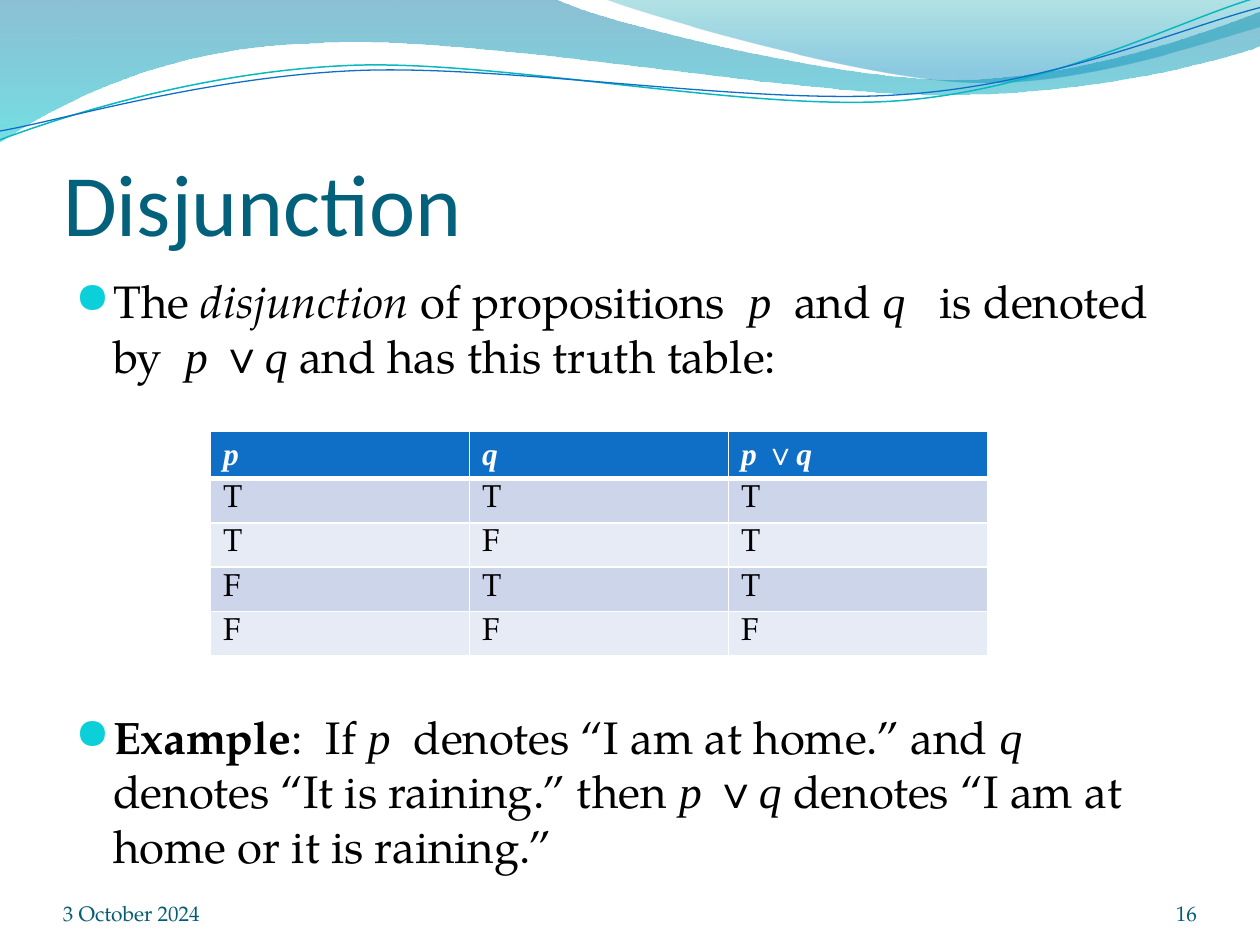
import math

from lxml import etree
from pptx import Presentation
from pptx.dml.color import RGBColor
from pptx.enum import text
from pptx.oxml.ns import qn
from pptx.util import Inches, Pt

THEME = {
    "serif": "TeX Gyre Pagella", "math": "Times New Roman", "heading": "Calibri",
    "symbols": "OpenSymbol",
    "title": "04617B", "ink": "000000", "footer": "045D75", "bullet": "0BD0D9",
    "header": "0F6FC6", "bands": ("CCD5EA", "E7EBF5"), "white": "FFFFFF",
    "title_size": 50, "body_size": 26, "table_size": 18, "footer_size": 12,
}

# Run styles: font, bold, italic
PLAIN = (THEME["serif"], False, False)
STRONG = (THEME["serif"], True, False)
TERM = (THEME["serif"], False, True)
VAR = (THEME["math"], False, True)
SYMBOL = (THEME["math"], False, False)
HEAD_VAR = (THEME["math"], True, True)
HEAD_SYMBOL = (THEME["math"], True, False)

TITLE = "Disjunction"
P_OR_Q = [("p ", VAR), ("∨", SYMBOL), ("q", VAR)]
# Space before in points, then runs; the larger space leaves room for the table
BODY = [
    (5.2, [("The ", PLAIN), ("disjunction", TERM), (" of propositions  ", PLAIN),
           ("p", VAR), ("  and ", PLAIN), ("q", VAR), ("   is denoted by  ", PLAIN),
           *P_OR_Q, (" and has this truth table:", PLAIN)]),
    (186.5, [("Example", STRONG), (":  If ", PLAIN), ("p", VAR),
             ("  denotes “I am at home.” and ", PLAIN), ("q", VAR),
             ("  denotes “It is raining.” then ", PLAIN),
             *P_OR_Q, (" denotes “I am at home or it is raining.”", PLAIN)]),
]
HEADER = [[("p", HEAD_VAR)], [("q", HEAD_VAR)],
          [("p ", HEAD_VAR), ("∨", HEAD_SYMBOL), ("q", HEAD_VAR)]]
TRUTH = ["TTT", "TFT", "FTT", "FFF"]
FOOTERS = [("3 October 2024", 0.5, 2.33, text.PP_ALIGN.LEFT),
           ("16", 8.67, 0.83, text.PP_ALIGN.RIGHT)]

# Box, outline, then paint; a pair is a straight step, three pairs a cubic curve
WAVES = [
    ((-0.01, -0.01, 10.02, 1.14),
     [(0, 0), (4.4, -0.01), (4.76, 0.17, 6.64, 0.63, 7.58, 0.63),
      (8.53, 0.63, 9.58, 0.26, 10, 0.09), (10.01, 0.36),
      (9.83, 0.44, 8.7, 0.76, 7.46, 0.75), (6.22, 0.75, 3.82, 0.28, 2.57, 0.34),
      (1.29, 0.36, 0.46, 0.83, -0.01, 1.13), (0, 0)],
     [(0, "0074A1", 45), (1, "00C6CF", 55)]),
    ((4.79, -0.01, 5.21, 0.7),
     [(4.79, -0.01), (5.09, 0.11, 6.82, 0.62, 7.69, 0.65),
      (8.56, 0.69, 9.61, 0.32, 10, 0.21), (10, 0), (4.79, -0.01)],
     [(0, "00A1A9", 30), (0.8, "008BBF", 45)]),
]
STRANDS = [
    ((-0.02, 0.22, 10.02, 0.71),
     [(0, 1.11), (0.48, 0.93, 1.58, 0.57, 2.77, 0.52),
      (3.95, 0.47, 5.93, 0.89, 7.13, 0.8), (8.33, 0.71, 9.38, 0.15, 9.98, -0.02)],
     "0AB8BF", 0.85),
    ((-0.02, 0.3, 10.03, 0.58),
     [(0, 1.04), (0.47, 0.96, 1.64, 0.61, 2.83, 0.56),
      (4.03, 0.51, 5.97, 0.84, 7.17, 0.75), (8.36, 0.67, 9.41, 0.21, 10, 0.06)],
     "0F6FC6", 0.75),
]
STRAND_TILT = -2.7


def rgb(value):
    return RGBColor.from_string(value)


def add_runs(p, runs, size, color):
    for words, (font, bold, italic) in runs:
        r = p.add_run()
        r.text = words
        r.font.name, r.font.size = font, Pt(size)
        r.font.bold, r.font.italic = bold, italic
        r.font.color.rgb = rgb(color)


def set_frame(tf, anchor, insets):
    tf.word_wrap = True
    tf.auto_size = text.MSO_AUTO_SIZE.NONE
    tf.vertical_anchor = anchor
    tf.margin_left, tf.margin_top, tf.margin_right, tf.margin_bottom = map(Inches, insets)


def add_outline(slide, box, steps, closed, tilt=0):
    """Draw a freeform in its box, turning its curves back by the tilt of the shape."""
    left, top, width, height = box
    cos, sin = math.cos(math.radians(tilt)), math.sin(math.radians(tilt))

    def to_local(x, y):
        dx, dy = x - left - width / 2, y - top - height / 2
        return (Inches(dx * cos + dy * sin + width / 2),
                Inches(dy * cos - dx * sin + height / 2))

    local = [[to_local(*step[i:i + 2]) for i in range(0, len(step), 2)] for step in steps]
    builder = slide.shapes.build_freeform(*local[0][-1])
    builder.add_line_segments([points[-1] for points in local[1:]], close=closed)
    sp = builder.convert_to_shape()
    sp.shadow.inherit = False
    sp.left, sp.top, sp.width, sp.height = map(Inches, box)
    sp.rotation = tilt

    outline = next(sp.element.iter(qn("a:path")))
    outline.set("w", str(sp.width))
    outline.set("h", str(sp.height))
    for child in list(outline):
        outline.remove(child)
    for i, points in enumerate(local):
        tag = "a:moveTo" if i == 0 else "a:lnTo" if len(points) == 1 else "a:cubicBezTo"
        node = etree.SubElement(outline, qn(tag))
        for x, y in points:
            etree.SubElement(node, qn("a:pt"), x=str(x), y=str(y))
    if closed:
        etree.SubElement(outline, qn("a:close"))
    return sp


def add_waves(slide):
    for box, steps, stops in WAVES:
        sp = add_outline(slide, box, steps, True)
        sp.line.fill.background()
        sp.fill.gradient()
        sp.fill.gradient_angle = 270
        for stop, (position, color, _) in zip(sp.fill.gradient_stops, stops):
            stop.position = position
            stop.color.rgb = rgb(color)
        for node, (_, _, opacity) in zip(sp.element.spPr.iter(qn("a:srgbClr")), stops):
            etree.SubElement(node, qn("a:alpha"), val=str(opacity * 1000))
    for box, steps, color, width in STRANDS:
        sp = add_outline(slide, box, steps, False, STRAND_TILT)
        sp.fill.background()
        sp.line.color.rgb = rgb(color)
        sp.line.width = Pt(width)


def add_bullet(p):
    pPr = p._p.get_or_add_pPr()
    pPr.set("marL", str(Inches(0.3)))
    pPr.set("indent", str(-Inches(0.3)))
    color = etree.SubElement(pPr, qn("a:buClr"))
    etree.SubElement(color, qn("a:srgbClr"), val=THEME["bullet"])
    etree.SubElement(pPr, qn("a:buSzPct"), val="95000")
    etree.SubElement(pPr, qn("a:buFont"), typeface=THEME["symbols"])
    etree.SubElement(pPr, qn("a:buChar"), char="●")


def add_body(slide):
    box = slide.shapes.add_textbox(Inches(0.5), Inches(2.12), Inches(9), Inches(5.13))
    tf = box.text_frame
    set_frame(tf, text.MSO_ANCHOR.TOP, (0.1, 0.05, 0.1, 0.05))
    for i, (gap, runs) in enumerate(BODY):
        p = tf.add_paragraph() if i else tf.paragraphs[0]
        p.space_before = Pt(gap)
        add_bullet(p)
        add_runs(p, runs, THEME["body_size"], THEME["ink"])


def set_borders(cell, widths):
    tcPr = cell._tc.get_or_add_tcPr()
    for side, width in zip(("lnL", "lnR", "lnT", "lnB"), widths):
        ln = etree.SubElement(tcPr, qn("a:" + side), w=str(Pt(width)))
        fill = etree.SubElement(ln, qn("a:solidFill"))
        etree.SubElement(fill, qn("a:srgbClr"), val=THEME["white"])


def add_truth_table(slide):
    rows = [HEADER] + [[[(value, PLAIN)] for value in line] for line in TRUTH]
    frame = slide.shapes.add_table(len(rows), len(HEADER), Inches(1.67), Inches(3.42),
                                   Inches(6.17), Inches(2))
    for i, row in enumerate(rows):
        frame.table.rows[i].height = Inches(0.33 if i else 0.23)
        for j, runs in enumerate(row):
            cell = frame.table.cell(i, j)
            set_borders(cell, (1, 1, 1, 1 if i else 3))
            cell.fill.solid()
            cell.fill.fore_color.rgb = rgb(THEME["bands"][(i - 1) % 2] if i else THEME["header"])
            add_runs(cell.text_frame.paragraphs[0], runs, THEME["table_size"],
                     THEME["ink"] if i else THEME["white"])
    frame.height = Inches(2)


def main():
    prs = Presentation()
    prs.slide_width, prs.slide_height = Inches(10), Inches(7.5)
    slide = prs.slides.add_slide(prs.slide_layouts[5])
    add_waves(slide)

    title = slide.shapes.title
    title.left, title.top, title.width, title.height = map(Inches, (0.5, 0.77, 9, 1.25))
    set_frame(title.text_frame, text.MSO_ANCHOR.BOTTOM, (0, 0.05, 0, 0))
    p = title.text_frame.paragraphs[0]
    p.alignment = text.PP_ALIGN.LEFT
    add_runs(p, [(TITLE, (THEME["heading"], False, False))], THEME["title_size"], THEME["title"])

    add_body(slide)
    add_truth_table(slide)
    for words, left, width, align in FOOTERS:
        box = slide.shapes.add_textbox(Inches(left), Inches(6.95), Inches(width), Inches(0.4))
        set_frame(box.text_frame, text.MSO_ANCHOR.BOTTOM, (0, 0, 0, 0))
        p = box.text_frame.paragraphs[0]
        p.alignment = align
        add_runs(p, [(words, PLAIN)], THEME["footer_size"], THEME["footer"])
    prs.save("out.pptx")


if __name__ == "__main__":
    main()
